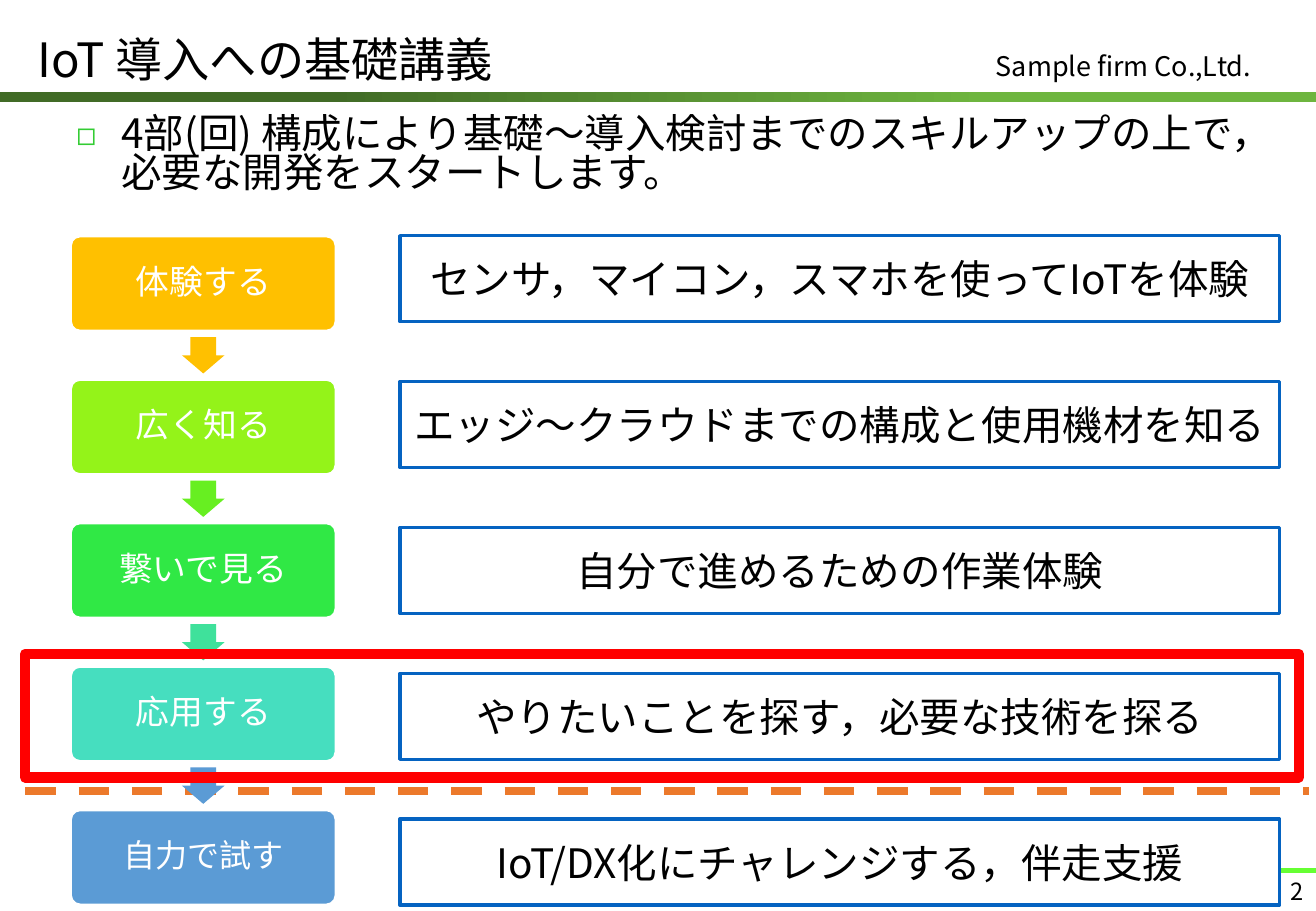
import pptx
import pptx.util
import pptx.dml.color
import pptx.enum.dml
import pptx.enum.shapes
import pptx.enum.text
import pptx.oxml
import pptx.oxml.ns
from lxml import etree

Cm, Pt = pptx.util.Cm, pptx.util.Pt
RGBColor = pptx.dml.color.RGBColor
SHAPE = pptx.enum.shapes.MSO_SHAPE
ALIGN = pptx.enum.text.PP_ALIGN
ANCHOR = pptx.enum.text.MSO_ANCHOR
qn = pptx.oxml.ns.qn

# Content
TITLE = "IoT 導入への基礎講義"
COMPANY = "Sample firm Co.,Ltd."
LEAD = "4部(回) 構成により基礎～導入検討までのスキルアップの上で，必要な開発をスタートします。"
PAGE = "2"

FONT = "Noto Sans CJK JP"
BLACK = RGBColor(0x00, 0x00, 0x00)
WHITE = RGBColor(0xFF, 0xFF, 0xFF)
DARK_GREEN = RGBColor(0x41, 0x6B, 0x26)
LEAF_GREEN = RGBColor(0x6E, 0xB5, 0x3F)
LIME = RGBColor(0x66, 0xFF, 0x33)
ORANGE = RGBColor(0xEC, 0x79, 0x2B)
BLUE = RGBColor(0x05, 0x63, 0xC1)
RED = RGBColor(0xFF, 0x00, 0x00)
AMBER = RGBColor(0xFF, 0xC0, 0x00)
YELLOW_GREEN = RGBColor(0x94, 0xF3, 0x19)
GRASS = RGBColor(0x67, 0xEF, 0x21)
GREEN = RGBColor(0x30, 0xE8, 0x45)
MINT = RGBColor(0x3F, 0xE1, 0x9B)
TURQUOISE = RGBColor(0x46, 0xDE, 0xBF)
SKY = RGBColor(0x5B, 0x9B, 0xD5)
BULLET_GREEN = "33CC33"

# Step, text size, step colour, colour of the arrow below, description
STEPS = [
    ("体験する", 20, AMBER, AMBER, "センサ，マイコン，スマホを使ってIoTを体験"),
    ("広く知る", 20, YELLOW_GREEN, GRASS, "エッジ～クラウドまでの構成と使用機材を知る"),
    ("繋いで見る", 20, GREEN, MINT, "自分で進めるための作業体験"),
    ("応用する", 20, TURQUOISE, SKY, "やりたいことを探す，必要な技術を探る"),
    ("自力で試す", 19, SKY, None, "IoT/DX化にチャレンジする，伴走支援"),
]

# Layout in cm
FLOW_TOP = 4.93
STEP_LEFT, STEP_WIDTH, STEP_HEIGHT, STEP_PITCH = 1.47, 5.56, 2.0, 3.0
ARROW_WIDTH, ARROW_HEIGHT = 0.89, 0.76
DETAIL_LEFT, DETAIL_WIDTH, DETAIL_HEIGHT, DETAIL_PITCH = 8.36, 18.39, 1.8, 3.05

deck = pptx.Presentation()
deck.slide_width, deck.slide_height = Cm(27.51), Cm(19.05)
slide = deck.slides.add_slide(deck.slide_layouts[6])


def write(holder, text, size, color, align=ALIGN.LEFT, anchor=ANCHOR.TOP, wrap=True):
    frame = holder.text_frame
    frame.word_wrap = wrap
    frame.vertical_anchor = anchor
    paragraph = frame.paragraphs[0]
    paragraph.text = text
    paragraph.alignment = align
    font = paragraph.runs[0].font
    font.name, font.size, font.color.rgb = FONT, Pt(size), color
    east_asian = etree.SubElement(paragraph.runs[0]._r.get_or_add_rPr(), qn("a:ea"))
    east_asian.set("typeface", FONT)
    return paragraph


def add_text(box, *args, **options):
    return write(slide.shapes.add_textbox(*map(Cm, box)), *args, **options)


def add_block(kind, box, fill=None, line=None, width=2):
    block = slide.shapes.add_shape(kind, *map(Cm, box))
    block.shadow.inherit = False
    if fill is None:
        block.fill.background()
    else:
        block.fill.solid()
        block.fill.fore_color.rgb = fill
    if line is None:
        block.line.fill.background()
    else:
        block.line.color.rgb, block.line.width = line, Pt(width)
    return block


def add_rule(start, end, y, color, width):
    rule = slide.shapes.add_connector(
        pptx.enum.shapes.MSO_CONNECTOR.STRAIGHT, Cm(start), Cm(y), Cm(end), Cm(y))
    rule.line.color.rgb, rule.line.width = color, Pt(width)
    etree.SubElement(rule._element.spPr, qn("a:effectLst"))
    return rule


# Header band, footer rule and company
band = add_block(SHAPE.RECTANGLE, (0, 1.93, 27.51, 0.2))
band.fill.gradient()
band.fill.gradient_angle = 0
for stop, position, color in zip(band.fill.gradient_stops, (0.25, 0.75), (DARK_GREEN, LEAF_GREEN)):
    stop.position, stop.color.rgb = position, color
add_rule(27.51, 25.22, 18.21, LIME, 3)
add_text((20.57, 0.91, 6.93, 0.94), COMPANY, 16, BLACK)

# Dashed divider before the last step
divider = add_rule(0.53, 27.36, 16.54, ORANGE, 4.5)
divider.line.dash_style = pptx.enum.dml.MSO_LINE.DASH

# Lead sentence with its square bullet
lead = add_text((1.35, 2.34, 25.4, 2.21), LEAD, 24, BLACK)
lead.line_spacing = 0.8
lead.space_before = Pt(4)
lead_format = lead._p.get_or_add_pPr()
lead_format.set("marL", str(Cm(0.94)))
lead_format.set("indent", str(Cm(-0.94)))
bullet_color = etree.SubElement(lead_format, qn("a:buClr"))
etree.SubElement(bullet_color, qn("a:srgbClr")).set("val", BULLET_GREEN)
etree.SubElement(lead_format, qn("a:buSzPct")).set("val", "80000")
etree.SubElement(lead_format, qn("a:buFont")).set("typeface", FONT)
etree.SubElement(lead_format, qn("a:buChar")).set("char", "◻")

# Title and page number
add_text((0.53, 0.53, 19.08, 1.4), TITLE, 28, BLACK, anchor=ANCHOR.MIDDLE)
add_text((25.35, 18.21, 2.16, 0.71), PAGE, 14, BLACK, align=ALIGN.RIGHT)

# Steps with the arrows between them
for index, (name, size, color, arrow_color, detail) in enumerate(STEPS):
    top = FLOW_TOP + index * STEP_PITCH
    step = add_block(SHAPE.ROUNDED_RECTANGLE, (STEP_LEFT, top, STEP_WIDTH, STEP_HEIGHT), color, WHITE)
    step.adjustments[0] = 0.1
    write(step, name, size, WHITE, ALIGN.CENTER, ANCHOR.MIDDLE).line_spacing = 0.9
    if arrow_color is not None:
        arrow_left = STEP_LEFT + (STEP_WIDTH - ARROW_WIDTH) / 2
        arrow_top = top + STEP_HEIGHT + (STEP_PITCH - STEP_HEIGHT - ARROW_HEIGHT) / 2
        arrow = add_block(SHAPE.DOWN_ARROW, (arrow_left, arrow_top, ARROW_WIDTH, ARROW_HEIGHT), arrow_color)
        arrow.adjustments[0], arrow.adjustments[1] = 0.6, 0.5

    # Description beside the step
    detail_top = FLOW_TOP + index * DETAIL_PITCH
    detail_box = add_block(
        SHAPE.RECTANGLE, (DETAIL_LEFT, detail_top, DETAIL_WIDTH, DETAIL_HEIGHT), WHITE, BLUE)
    write(detail_box, detail, 24, BLACK, ALIGN.CENTER, ANCHOR.MIDDLE, wrap=False)

# Frame around the current step
add_block(SHAPE.RECTANGLE, (0.53, 13.67, 26.62, 2.59), line=RED, width=6)

deck.save("out.pptx")
